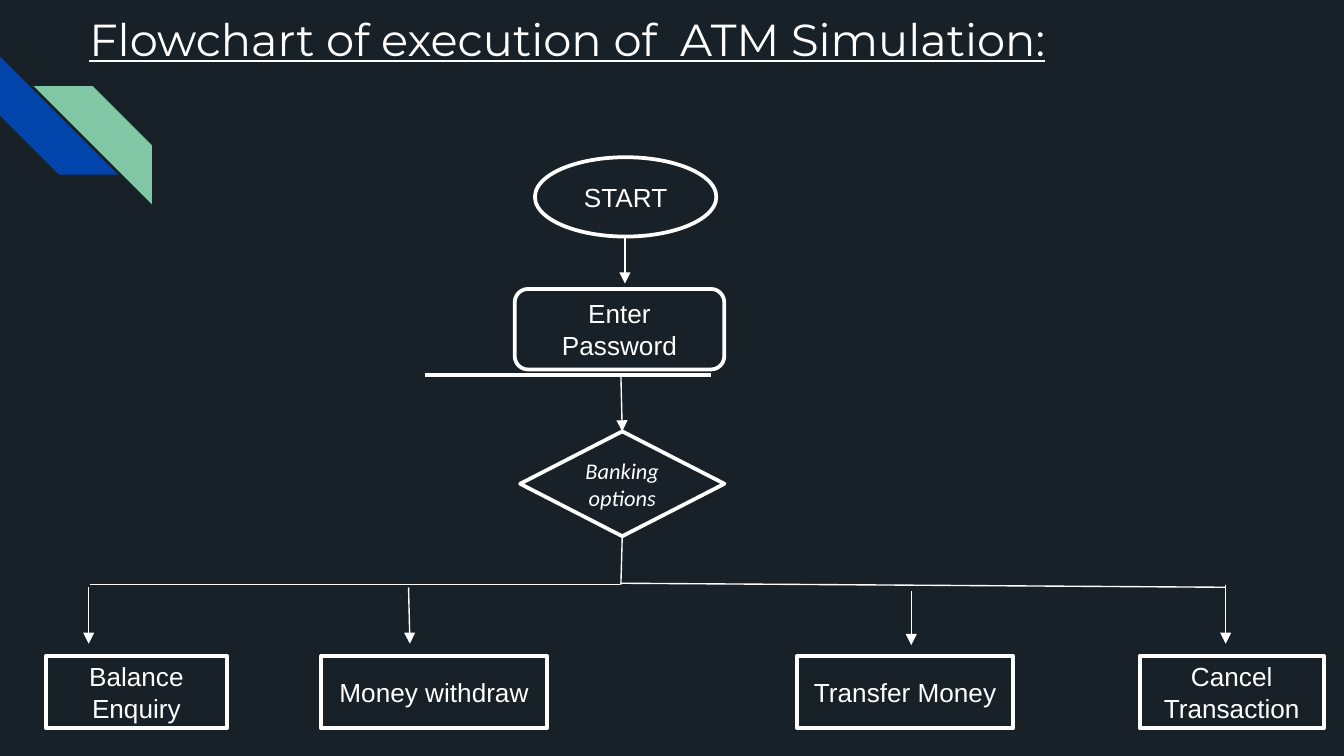
from lxml import etree
from pptx import Presentation
from pptx.dml.color import RGBColor
from pptx.enum.shapes import MSO_CONNECTOR, MSO_SHAPE
from pptx.enum.text import MSO_ANCHOR, MSO_AUTO_SIZE, PP_ALIGN
from pptx.oxml.ns import qn
from pptx.util import Inches, Pt

DARK = RGBColor(0x18, 0x21, 0x27)
WHITE = RGBColor(0xFF, 0xFF, 0xFF)
BLUE = RGBColor(0x01, 0x45, 0xAC)
GREEN = RGBColor(0x82, 0xC7, 0xA5)
OVAL, ROUND = MSO_SHAPE.OVAL, MSO_SHAPE.ROUNDED_RECTANGLE
RECT, DIAMOND = MSO_SHAPE.RECTANGLE, MSO_SHAPE.DIAMOND
STRIPE = MSO_SHAPE.DIAGONAL_STRIPE
STRAIGHT = MSO_CONNECTOR.STRAIGHT
MIDDLE, CENTER = MSO_ANCHOR.MIDDLE, PP_ALIGN.CENTER
FIXED = MSO_AUTO_SIZE.NONE

TITLE = "Flowchart of execution of  ATM Simulation:"
TITLE_FONT = {"name": "Montserrat", "size": Pt(24), "underline": True, "bold": False}
BODY_FONT = {"name": "Arial", "size": Pt(14)}
CHOICE_FONT = {"name": "Calibri", "size": Pt(12), "italic": True}

# left, top, rotation, colour
STRIPES = [(0, 0.42, 270, BLUE), (0.25, 0.64, 90, GREEN)]
STRIPE_SIZE = 0.88

# kind, text, font, left, top, width, height
STEPS = [
    (OVAL, "START", BODY_FONT, 3.98, 1.17, 1.35, 0.59),
    (ROUND, "Enter Password", BODY_FONT, 3.83, 2.15, 1.56, 0.6),
    (DIAMOND, "Banking options", CHOICE_FONT, 3.87, 3.21, 1.52, 0.78),
]
# text, left, width
OPTIONS = [
    ("Balance Enquiry", 0.34, 1.35),
    ("Money withdraw", 2.39, 1.68),
    ("Transfer Money", 5.93, 1.61),
    ("Cancel Transaction", 8.48, 1.37),
]
OPTION_TOP, OPTION_HIGH = 4.88, 0.54

# x1, y1, x2, y2
ARROWS = [
    (4.65, 1.76, 4.65, 2.11),
    (4.62, 2.79, 4.63, 3.21),
    (0.66, 4.37, 0.66, 4.79),
    (3.04, 4.37, 3.05, 4.79),
    (6.78, 4.4, 6.78, 4.8),
    (9.12, 4.35, 9.12, 4.79),
]
BRANCHES = [
    (4.63, 3.99, 4.62, 4.35),
    (4.62, 4.34, 9.12, 4.37),
    (4.61, 4.35, 0.67, 4.35),
]
RULE = (3.16, 2.79, 5.29, 2.79)


def write(shape, text, style):
    frame = shape.text_frame
    frame.word_wrap = True
    frame.auto_size = FIXED
    frame.vertical_anchor = MIDDLE
    para = frame.paragraphs[0]
    para.alignment = CENTER
    run = para.add_run()
    run.text = text
    for key, value in style.items():
        setattr(run.font, key, value)
    run.font.color.rgb = WHITE


def add_solid(slide, kind, box, color):
    shape = slide.shapes.add_shape(kind, *map(Inches, box))
    shape.shadow.inherit = False
    shape.fill.solid()
    shape.fill.fore_color.rgb = color
    return shape


def add_step(slide, kind, text, style, *box):
    shape = add_solid(slide, kind, box, DARK)
    shape.line.color.rgb = WHITE
    shape.line.width = Pt(2)
    write(shape, text, style)


def add_line(slide, ends, width=0.75, arrow=False):
    line = slide.shapes.add_connector(STRAIGHT, *map(Inches, ends))
    line.line.color.rgb = WHITE
    line.line.width = Pt(width)
    props = line.element.spPr
    if arrow:
        etree.SubElement(props.find(qn("a:ln")), qn("a:tailEnd"), type="triangle")
    etree.SubElement(props, qn("a:effectLst"))


def main():
    deck = Presentation()
    deck.slide_width = Inches(10)
    deck.slide_height = deck.slide_width * 9 // 16
    slide = deck.slides.add_slide(deck.slide_layouts[5])
    slide.background.fill.solid()
    slide.background.fill.fore_color.rgb = DARK

    title = slide.shapes.title
    title.left, title.top = Inches(0), Inches(0)
    title.width, title.height = Inches(8.44), Inches(0.57)
    write(title, TITLE, TITLE_FONT)

    for left, top, turn, color in STRIPES:
        stripe = add_solid(slide, STRIPE, (left, top, STRIPE_SIZE, STRIPE_SIZE), color)
        stripe.rotation = turn
        stripe.line.fill.background()

    for step in STEPS:
        add_step(slide, *step)
    for text, left, width in OPTIONS:
        add_step(slide, RECT, text, BODY_FONT, left, OPTION_TOP, width, OPTION_HIGH)

    for ends in ARROWS:
        add_line(slide, ends, arrow=True)
    for ends in BRANCHES:
        add_line(slide, ends)
    add_line(slide, RULE, width=1.75)

    deck.save("out.pptx")


if __name__ == "__main__":
    main()
